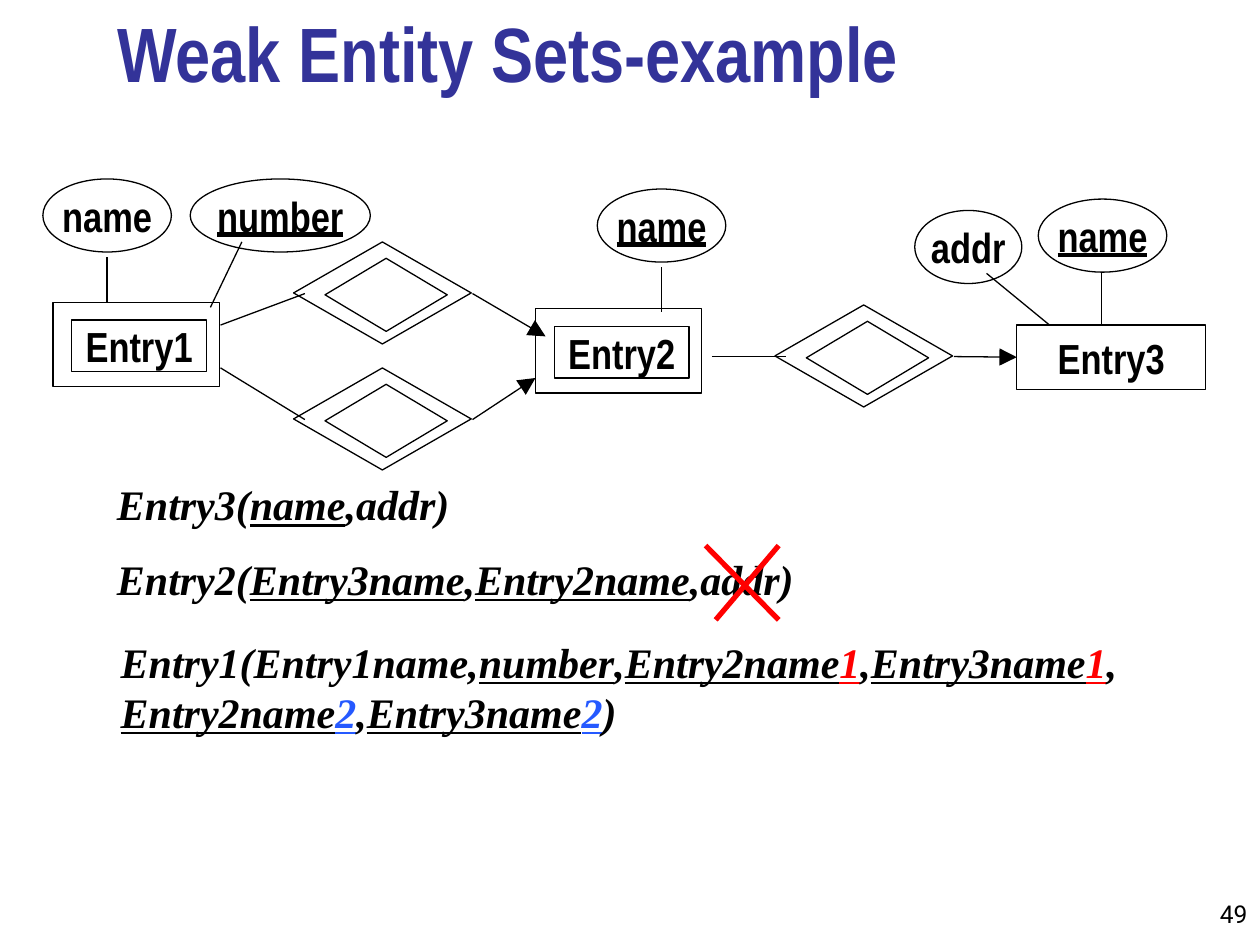
from lxml.etree import SubElement
from pptx import Presentation
from pptx.dml.color import RGBColor as RGB
from pptx.enum.shapes import MSO_CONNECTOR as LINK, MSO_SHAPE as KIND
from pptx.enum.text import MSO_ANCHOR as ANCHOR, PP_ALIGN as ALIGN
from pptx.oxml.ns import qn
from pptx.util import Pt

PX = 9144  # 100 px to the inch
HEX = {"ink": "000000", "title": "333399", "red": "FF0000", "blue": "2559FF"}
SANS, SERIF, PLAIN = "Arial Narrow", "Times New Roman", "Roboto"


def emu(*nums):
    return [n * PX for n in nums]


def tint(name):
    return RGB.from_string(HEX[name])


def add_run(para, text, face, size, color="ink", bold=True, ital=False, under=False):
    run = para.add_run()
    run.text = text
    font = run.font
    font.name, font.size, font.bold = face, Pt(size), bold
    font.italic, font.underline = ital, under
    font.color.rgb = tint(color)


def add_line(slide, start, end, color="ink", width=0.75, arrow=False):
    line = slide.shapes.add_connector(LINK.STRAIGHT, *emu(*start, *end))
    line.line.color.rgb = tint(color)
    line.line.width = Pt(width)
    props = line._element.spPr
    if arrow:
        SubElement(props.find(qn("a:ln")), qn("a:tailEnd"), type="triangle", w="lg", len="lg")
    SubElement(props, qn("a:effectLst"))
    return line


def add_form(slide, kind, box, label="", under=False, wrap=True):
    """Draw an outlined shape with an optional centred label."""
    form = slide.shapes.add_shape(kind, *emu(*box))
    form.shadow.inherit = False
    form.fill.background()
    form.line.color.rgb = tint("ink")
    form.line.width = Pt(0.75)
    if label:
        frame = form.text_frame
        frame.margin_left = frame.margin_right = frame.margin_top = frame.margin_bottom = 0
        frame.word_wrap = wrap
        frame.vertical_anchor = ANCHOR.MIDDLE
        para = frame.paragraphs[0]
        para.alignment = ALIGN.CENTER
        add_run(para, label, SANS, 24, under=under)
    return form


def add_trait(slide, box, label, key, start, end):
    """Draw an attribute ellipse and the line to its entity set."""
    add_form(slide, KIND.OVAL, box, label, under=key, wrap=False)
    add_line(slide, start, end)


def add_weak(slide, x, y, label):
    """Draw a weak entity set as a double rectangle."""
    add_form(slide, KIND.RECTANGLE, (x, y, 132, 67))
    add_form(slide, KIND.RECTANGLE, (x + 15, y + 14, 107, 41), label)


def add_tie(slide, x, y, start, end):
    """Draw a supporting relationship as a double diamond with both links."""
    add_form(slide, KIND.DIAMOND, (x, y, 141, 81))
    add_form(slide, KIND.DIAMOND, (x + 25, y + 13, 97, 58))
    add_line(slide, start, (x + 9, y + 41))
    return add_line(slide, (x + 142, y + 41), end, arrow=True)


def add_model(slide):
    """Draw the entity relationship diagram."""
    add_weak(slide, 42, 240, "Entry1")
    add_weak(slide, 425, 245, "Entry2")
    strong = add_form(slide, KIND.RECTANGLE, (807, 258, 150, 51), "Entry3")

    add_tie(slide, 233, 192, (175, 258), (433, 267))
    add_tie(slide, 233, 292, (175, 292), (425, 300))
    add_tie(slide, 615, 242, (565, 283), (807, 283)).end_connect(strong, 1)

    add_trait(slide, (34, 142, 102, 58), "name", False, (85, 204), (85, 240))
    add_trait(slide, (151, 142, 143, 58), "number", True, (192, 192), (167, 244))
    add_trait(slide, (474, 150, 102, 58), "name", True, (525, 212), (525, 248))
    add_trait(slide, (726, 167, 85, 58), "addr", False, (783, 217), (833, 258))
    add_trait(slide, (824, 158, 102, 58), "name", True, (874, 217), (874, 258))


def add_schema(slide, box, *rows):
    """Write relation schemas; each run is (text, underlined, colour)."""
    frame = slide.shapes.add_textbox(*emu(*box)).text_frame
    frame.word_wrap = True
    for i, row in enumerate(rows):
        para = frame.add_paragraph() if i else frame.paragraphs[0]
        if i:
            para.space_before = Pt(14)
        for text, under, color in row:
            add_run(para, text, SERIF, 24, color, ital=True, under=under)


def text(words):
    return words, False, "ink"


def key(words, color="ink"):
    return words, True, color


def add_cross(slide, x, y):
    for start, end in (((x, y), (x + 58, y + 59)), ((x + 58, y), (x + 8, y + 59))):
        add_line(slide, start, end, "red", 3)


def add_title(slide, box, words):
    title = slide.shapes.title
    title.left, title.top, title.width, title.height = emu(*box)
    frame = title.text_frame
    frame.vertical_anchor = ANCHOR.BOTTOM
    para = frame.paragraphs[0]
    para.alignment = ALIGN.LEFT
    add_run(para, words, SANS, 44, "title")


def add_number(slide, box, words):
    frame = slide.shapes.add_textbox(*emu(*box)).text_frame
    frame.word_wrap = True
    frame.vertical_anchor = ANCHOR.BOTTOM
    para = frame.paragraphs[0]
    para.alignment = ALIGN.RIGHT
    add_run(para, words, PLAIN, 14, bold=False)


def main():
    deck = Presentation()
    deck.slide_width, deck.slide_height = emu(1000, 750)
    slide = deck.slides.add_slide(deck.slide_layouts[5])
    add_title(slide, (83, 8, 852, 75), "Weak Entity Sets-example")
    add_model(slide)
    add_schema(
        slide, (83, 375, 817, 110),
        [text("Entry3("), key("name"), text(",addr)")],
        [text("Entry2("), key("Entry3name"), text(","), key("Entry2name"), text(",addr)")],
    )
    add_schema(
        slide, (86, 500, 847, 91),
        [text("Entry1(Entry1name,"), key("number"), text(","),
         key("Entry2name"), key("1", "red"), text(","),
         key("Entry3name"), key("1", "red"), text(", "),
         key("Entry2name"), key("2", "blue"), text(","),
         key("Entry3name"), key("2", "blue"), text(")")],
    )
    add_cross(slide, 560, 433)
    add_number(slide, (933, 692, 67, 50), "49")
    deck.save("out.pptx")


if __name__ == "__main__":
    main()
